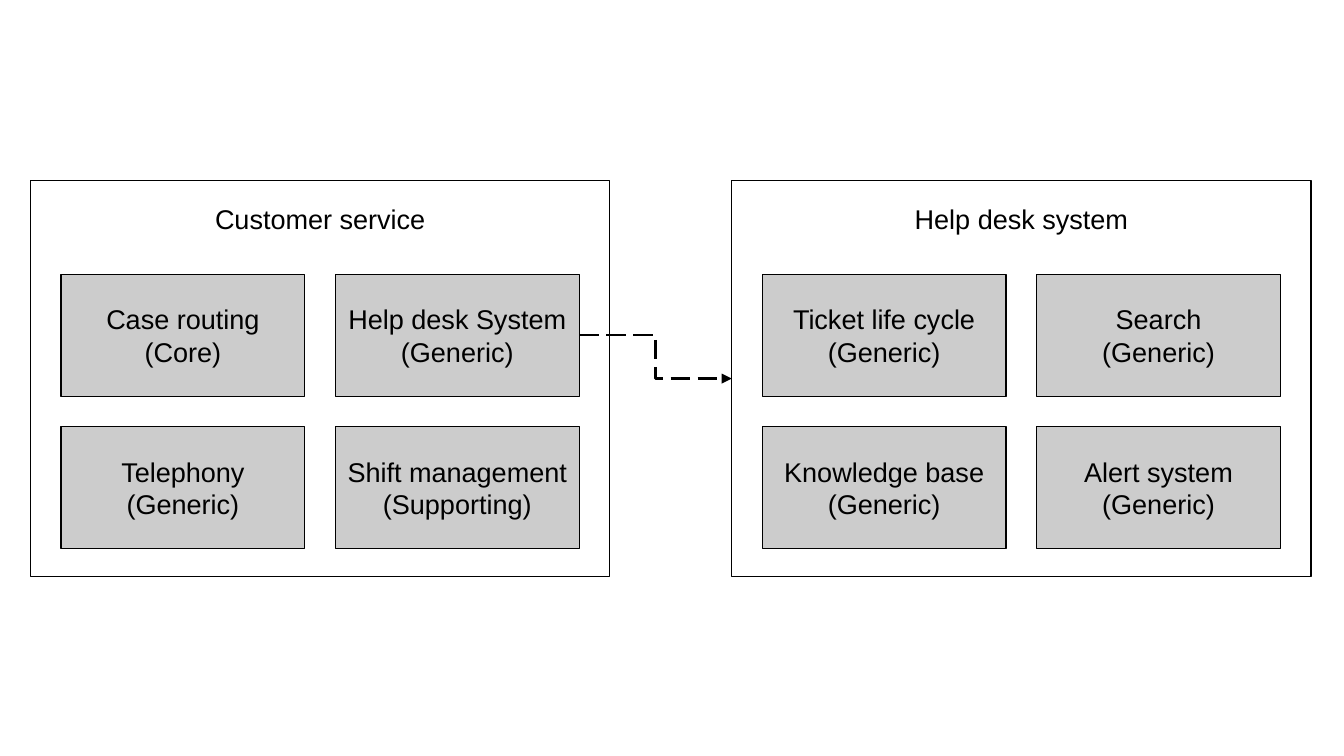
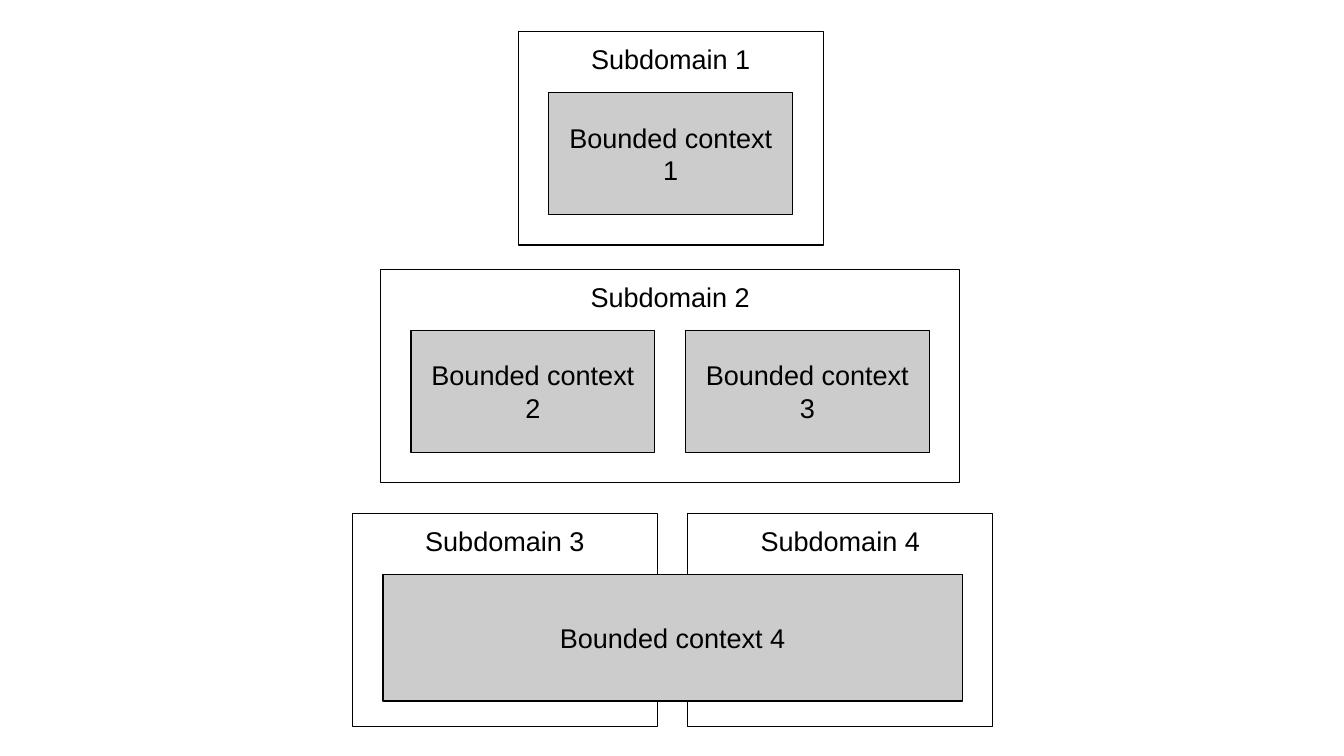
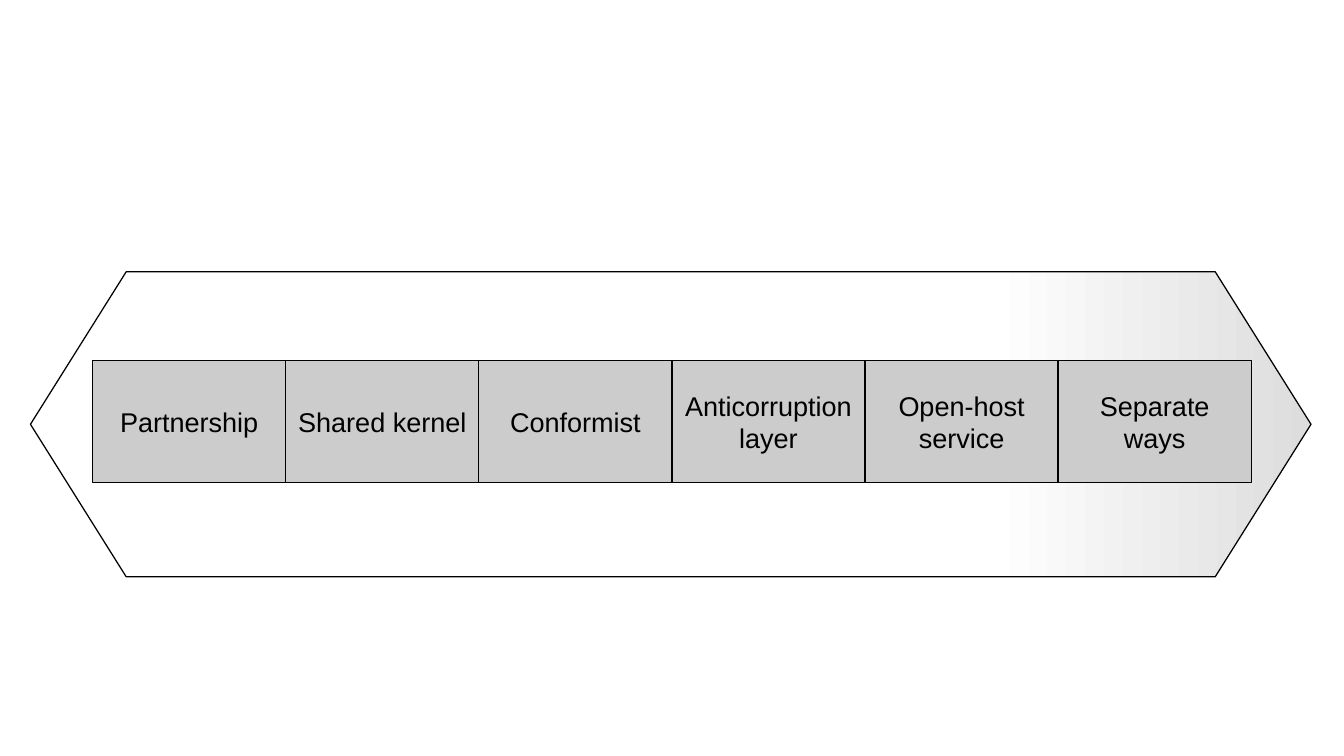
from dataclasses import dataclass

from pptx import Presentation
from pptx.dml.color import RGBColor
from pptx.enum import dml, shapes, text
from pptx.oxml import parse_xml
from pptx.oxml.ns import nsdecls
from pptx.util import Pt

INK, PAPER, GREY, SHADE = "000000", "FFFFFF", "CCCCCC", "DDDDDD"
FONT, SIZE = "Arial", 16
TILE_W, TILE_H, GAP = 144, 72, 18


@dataclass
class Box:
    x: float
    y: float
    w: float
    h: float
    lines: tuple[str, ...]
    fill: str = GREY
    lead: float = 1.0
    top: bool = False


@dataclass
class Group:
    x: float
    y: float
    title: str
    rows: tuple[tuple[tuple[str, ...], ...], ...]
    head: float = 36
    h: float = 126
    lead: float = 1.15
    cols: int = 1


def color(value: str) -> RGBColor:
    return RGBColor.from_string(value)


def outline(shape) -> None:
    shape.shadow.inherit = False
    shape.line.color.rgb = color(INK)
    shape.line.width = Pt(0)


def draw_box(slide, box: Box):
    shape = slide.shapes.add_shape(
        shapes.MSO_SHAPE.RECTANGLE, Pt(box.x), Pt(box.y), Pt(box.w), Pt(box.h))
    outline(shape)
    shape.fill.solid()
    shape.fill.fore_color.rgb = color(box.fill)
    frame = shape.text_frame
    frame.word_wrap = True
    anchor = text.MSO_ANCHOR
    frame.vertical_anchor = anchor.TOP if box.top else anchor.MIDDLE
    for i, line in enumerate(box.lines):
        para = frame.add_paragraph() if i else frame.paragraphs[0]
        para.alignment = text.PP_ALIGN.CENTER
        para.line_spacing = box.lead
        run = para.add_run()
        run.text = line
        run.font.name = FONT
        run.font.size = Pt(SIZE)
        run.font.color.rgb = color(INK)
    return shape


def draw_group(slide, group: Group):
    width = group.cols * (TILE_W + GAP) + GAP
    panel = draw_box(slide, Box(group.x, group.y, width, group.h,
                                (group.title,), PAPER, group.lead, True))
    tiles = [
        draw_box(slide, Box(group.x + GAP + col * (TILE_W + GAP),
                            group.y + group.head + row * (TILE_H + GAP),
                            TILE_W, TILE_H, lines))
        for row, cells in enumerate(group.rows)
        for col, lines in enumerate(cells)
    ]
    return panel, tiles


def draw_link(slide, start, end) -> None:
    link = slide.shapes.add_connector(shapes.MSO_CONNECTOR.ELBOW, 0, 0, 0, 0)
    link.begin_connect(start, 3)
    link.end_connect(end, 1)
    link.line.color.rgb = color(INK)
    link.line.width = Pt(1.45)
    link.line.dash_style = dml.MSO_LINE.LONG_DASH
    link.line._get_or_add_ln().append(
        parse_xml(f'<a:tailEnd {nsdecls("a")} type="triangle"/>'))
    link._element.spPr.append(parse_xml(f'<a:effectLst {nsdecls("a")}/>'))


def draw_desk(slide) -> None:
    kind = "(Generic)"
    groups = (
        Group(18, 106.56, "Customer service", (
            (("Case routing", "(Core)"), ("Help desk System", kind)),
            (("Telephony", kind), ("Shift management", "(Supporting)")),
        ), 55.44, 234, 1.5, 2),
        Group(432, 106.56, "Help desk system", (
            (("Ticket life cycle", kind), ("Search", kind)),
            (("Knowledge base", kind), ("Alert system", kind)),
        ), 55.44, 234, 1.5, 2),
    )
    (_, tiles), (panel, _) = [draw_group(slide, group) for group in groups]
    draw_link(slide, tiles[1], panel)


def draw_domains(slide) -> None:
    for group in (
        Group(306, 18.72, "Subdomain 1", ((("Bounded context 1",),),)),
        Group(224.64, 159.12, "Subdomain 2",
              ((("Bounded context 2",), ("Bounded context 3",)),), cols=2),
        Group(208.08, 303.12, "Subdomain 3", ()),
        Group(406.08, 303.12, "Subdomain 4", ()),
    ):
        draw_group(slide, group)
    draw_box(slide, Box(226.08, 339.12, 342, 74.88, ("Bounded context 4",)))


def draw_scale(slide) -> None:
    arrow = slide.shapes.add_shape(
        shapes.MSO_SHAPE.LEFT_RIGHT_ARROW, Pt(18), Pt(160.56), Pt(756), Pt(180))
    arrow.adjustments[0] = 1
    arrow.adjustments[1] = 0.314
    outline(arrow)
    arrow.fill.gradient()
    arrow.fill.gradient_angle = 0
    for stop, place, shade in zip(
            arrow.fill.gradient_stops, (0.75, 1), (PAPER, SHADE)):
        stop.position = place
        stop.color.rgb = color(shade)
    names = ("Partnership", "Shared kernel", "Conformist",
             "Anticorruption layer", "Open-host service", "Separate ways")
    width = 114
    for i, name in enumerate(names):
        draw_box(slide, Box(54.72 + i * width, 213, width, TILE_H, (name,)))


def main() -> None:
    deck = Presentation()
    deck.slide_width, deck.slide_height = Pt(793.44), Pt(446.4)
    for draw in (draw_desk, draw_domains, draw_scale):
        draw(deck.slides.add_slide(deck.slide_layouts[6]))
    deck.save("out.pptx")


if __name__ == "__main__":
    main()
